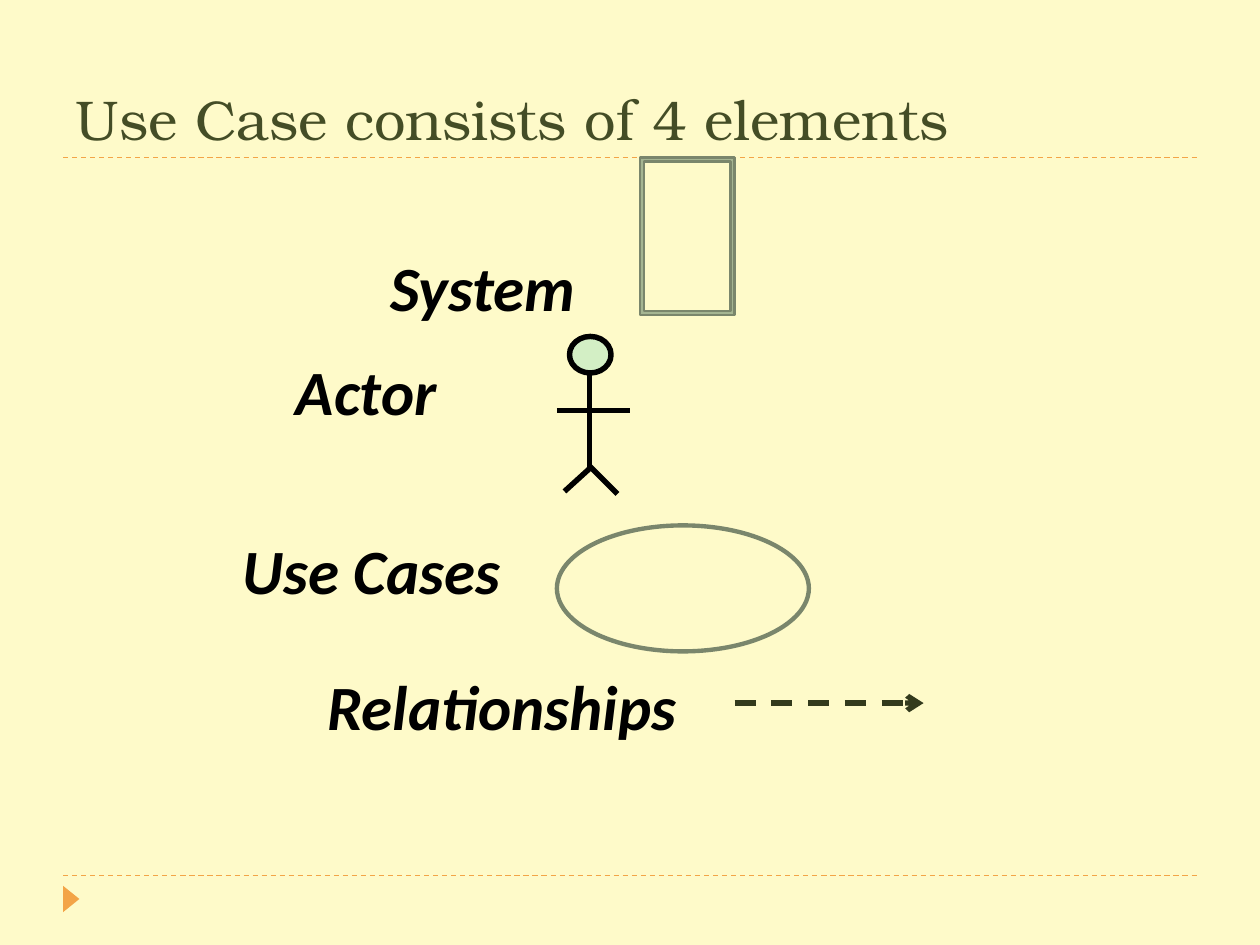
from lxml.etree import SubElement
from pptx import Presentation
from pptx.dml.color import RGBColor
from pptx.enum.dml import MSO_LINE
from pptx.enum.shapes import MSO_CONNECTOR, MSO_SHAPE
from pptx.enum.text import MSO_ANCHOR, MSO_AUTO_SIZE
from pptx.oxml.ns import qn
from pptx.util import Inches, Pt

COLORS = {
    "background": "FEFAC9",
    "accent": "F3A447",
    "title": "444D26",
    "ink": "000000",
    "head": "D3EFC5",
    "frame": "A5B592",
    "outline": "7A866C",
    "arrow": "333A1C",
}

# text, left, top, width
LABELS = [
    ("System", 3, 1.92, 1.76),
    ("Actor", 2.25, 2.75, 1.41),
    ("Use Cases", 1.83, 4.17, 2.43),
    ("Relationships", 2.5, 5.25, 3.16),
]

# start x, start y, end x, end y
ACTOR_LIMBS = [
    (4.68, 2.96, 4.68, 3.74),  # body
    (4.42, 3.26, 5, 3.26),  # arms
    (4.7, 3.7, 4.48, 3.9),  # left leg
    (4.68, 3.7, 4.9, 3.92),  # right leg
]


def color(name):
    return RGBColor.from_string(COLORS[name])


def add_line(shapes, ends, line_color, width, dashed=False, arrow=False):
    connector = shapes.add_connector(MSO_CONNECTOR.STRAIGHT, *map(Inches, ends))
    connector.line.color.rgb = color(line_color)
    connector.line.width = Pt(width)
    if dashed:
        connector.line.dash_style = MSO_LINE.DASH
    if arrow:
        SubElement(connector.line._get_or_add_ln(), qn("a:tailEnd"), type="arrow")
    # Drop the theme style so that only the explicit line format applies
    element = connector._element
    SubElement(element.spPr, qn("a:effectLst"))
    element.remove(element.find(qn("p:style")))


def add_shape(shapes, kind, box, fill=None, line=None, width=1):
    shape = shapes.add_shape(kind, *map(Inches, box))
    shape.shadow.inherit = False
    if fill:
        shape.fill.solid()
        shape.fill.fore_color.rgb = color(fill)
    else:
        shape.fill.background()
    if line:
        shape.line.color.rgb = color(line)
        shape.line.width = Pt(width)
    else:
        shape.line.fill.background()
    return shape


def add_text(shapes, text, box, font_name, size, text_color, emphasis=False):
    shape = shapes.add_textbox(*map(Inches, box))
    shape.text_frame.text = text
    font = shape.text_frame.paragraphs[0].runs[0].font
    font.name = font_name
    font.size = Pt(size)
    font.color.rgb = color(text_color)
    font.bold = font.italic = emphasis
    return shape.text_frame


def add_actor(shapes):
    actor = shapes.add_group_shape()
    add_line(actor.shapes, ACTOR_LIMBS[0], "ink", 3.13)
    add_shape(actor.shapes, MSO_SHAPE.OVAL, (4.52, 2.67, 0.33, 0.29),
              "head", "ink", 3.13)
    for ends in ACTOR_LIMBS[1:]:
        add_line(actor.shapes, ends, "ink", 3.13)


def main():
    presentation = Presentation()
    presentation.slide_width = Inches(10)
    presentation.slide_height = Inches(7.5)
    slide = presentation.slides.add_slide(presentation.slide_layouts[6])
    slide.background.fill.solid()
    slide.background.fill.fore_color.rgb = color("background")
    shapes = slide.shapes

    # Rules and page marker
    for y in (6.95, 1.25):
        add_line(shapes, (0.5, y, 9.5, y), "accent", 0.75, dashed=True)
    marker = add_shape(shapes, MSO_SHAPE.ISOSCELES_TRIANGLE,
                       (0.46, 7.07, 0.21, 0.13), "accent")
    marker.rotation = 90

    # Title
    title = add_text(shapes, "Use Case consists of 4 elements",
                     (0.5, 0.17, 9, 1.08), "TeX Gyre Bonum", 32, "title")
    title.word_wrap = True
    title.vertical_anchor = MSO_ANCHOR.BOTTOM

    # Element names
    for text, left, top, width in LABELS:
        label = add_text(shapes, text, (left, top, width, 0.71),
                         "Calibri", 36, "ink", emphasis=True)
        label.word_wrap = False
        label.auto_size = MSO_AUTO_SIZE.SHAPE_TO_FIT_TEXT

    # Element symbols
    add_actor(shapes)
    system = add_shape(shapes, MSO_SHAPE.FRAME, (5.08, 1.25, 0.75, 1.25),
                       "frame", "outline", 1.5)
    system.adjustments[0] = 0.043
    add_shape(shapes, MSO_SHAPE.OVAL, (4.42, 4.17, 2, 1),
              line="outline", width=2.5)
    add_line(shapes, (5.83, 5.58, 7.33, 5.58), "arrow", 3, dashed=True, arrow=True)

    presentation.save("out.pptx")


if __name__ == "__main__":
    main()
